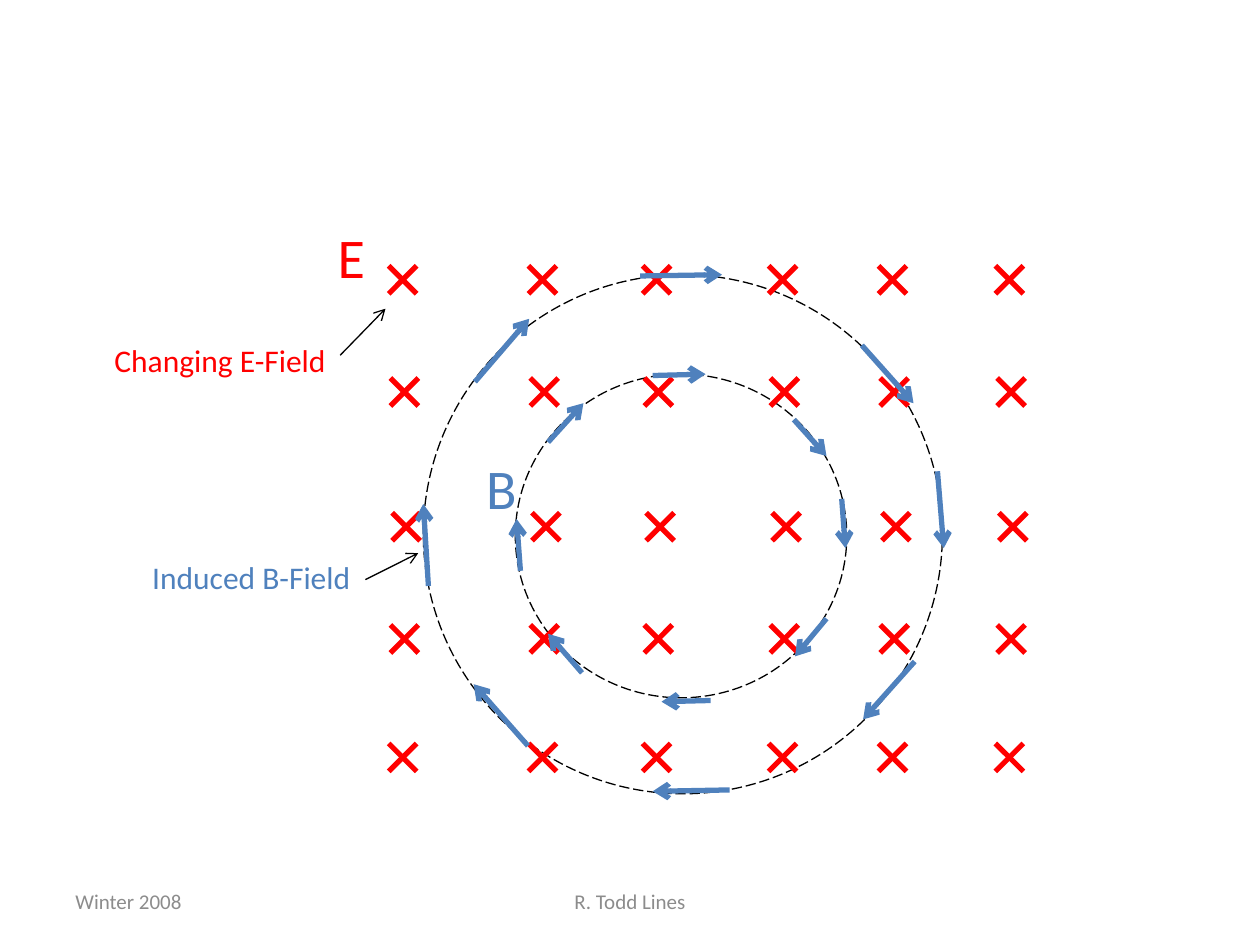
from itertools import product

from pptx import Presentation
from pptx.dml.color import RGBColor
from pptx.enum.dml import MSO_LINE as Dash
from pptx.enum.shapes import MSO_CONNECTOR as Connector, MSO_SHAPE as Shape
from pptx.enum.text import MSO_ANCHOR as Anchor, MSO_AUTO_SIZE as AutoSize, PP_ALIGN as Align
from pptx.oxml.ns import qn
from pptx.util import Pt
from lxml.etree import SubElement

COLORS = {"electric": "FF0000", "magnetic": "4F81BD", "ink": "000000", "footer": "8C8C8C"}

CROSS_SIZE = 16
CROSS_COLUMNS = (222.1, 302, 367.2, 439.2, 502, 568.8)
CROSS_ROWS = ((151.9, 0), (216, 1), (293, 2), (357.1, 1), (424.8, 0))

LOOPS = ((241.9, 157, 296.6, 296.6), (294.5, 213.8, 189.4, 185))

OUTER_ARROWS = (
    (535.7, 269.3, 539.3, 313.2),
    (244.8, 334.8, 241.9, 288),
    (416.9, 451.4, 373, 452.2),
    (365.8, 157.7, 412.6, 157),
    (522.7, 378, 493.2, 411.1),
    (271.4, 218.2, 302.4, 182.2),
    (492.5, 197.3, 522, 230.4),
    (301.7, 426.2, 270.7, 391),
)
INNER_ARROWS = (
    (481, 285.1, 483.1, 313.2),
    (297.4, 326.2, 295.2, 296.6),
    (406.1, 400.3, 378, 401),
    (373, 214.6, 403.2, 213.8),
    (472.3, 353.5, 454.3, 375.1),
    (313.2, 252.7, 333.4, 230.4),
    (453.6, 239.8, 472.3, 260.6),
    (332.6, 384.5, 313.2, 362.2),
)
POINTERS = ((194.4, 203, 220.3, 176.4), (208.8, 331.2, 239, 316.1))


class FieldSlide:
    """Draws field diagram elements on one slide in a shared style."""

    font_name = "Calibri"
    thin, thick = 0.75, 3

    def __init__(self, slide):
        self.shapes = slide.shapes

    def loop(self, bounds):
        ellipse = self.shapes.add_shape(Shape.OVAL, *map(Pt, bounds))
        ellipse.shadow.inherit = False
        ellipse.fill.background()
        ellipse.line.color.rgb = RGBColor.from_string(COLORS["ink"])
        ellipse.line.width = Pt(self.thin)
        ellipse.line.dash_style = Dash.LONG_DASH

    def line(self, ends, color, width, arrow=False, shapes=None):
        shapes = self.shapes if shapes is None else shapes
        connector = shapes.add_connector(Connector.STRAIGHT, *map(Pt, ends))
        connector.line.color.rgb = RGBColor.from_string(COLORS[color])
        connector.line.width = Pt(width)
        properties = connector.element.spPr
        if arrow:
            SubElement(properties.find(qn("a:ln")), qn("a:tailEnd"), type="arrow")
        SubElement(properties, qn("a:effectLst"))

    def cross(self, left, top):
        group = self.shapes.add_group_shape()
        right, bottom = left + CROSS_SIZE, top + CROSS_SIZE
        for ends in ((left, top, right, bottom), (right, top, left, bottom)):
            self.line(ends, "electric", self.thick, shapes=group.shapes)

    def circulation(self, arrows):
        group = self.shapes.add_group_shape()
        for ends in arrows:
            self.line(ends, "magnetic", self.thick, arrow=True, shapes=group.shapes)

    def pointer(self, ends):
        self.line(ends, "ink", self.thin, arrow=True)

    def text(self, words, bounds, size, color, wrap=True, align=Align.LEFT,
             anchor=Anchor.TOP, auto_size=AutoSize.SHAPE_TO_FIT_TEXT):
        frame = self.shapes.add_textbox(*map(Pt, bounds)).text_frame
        frame.word_wrap = wrap
        frame.auto_size = auto_size
        frame.vertical_anchor = anchor
        para = frame.paragraphs[0]
        para.text = words
        para.alignment = align
        para.font.name = self.font_name
        para.font.size = Pt(size)
        para.font.color.rgb = RGBColor.from_string(COLORS[color])

    def footer(self, words, left, width, align):
        self.text(words, (left, 500.5, width, 28.8), 12, "footer", align=align,
                  anchor=Anchor.MIDDLE, auto_size=AutoSize.NONE)


def main():
    deck = Presentation()
    deck.slide_width, deck.slide_height = Pt(720), Pt(540)
    blank_layout = deck.slide_layouts[6]
    page = FieldSlide(deck.slides.add_slide(blank_layout))

    for bounds in LOOPS:
        page.loop(bounds)
    page.footer("Winter 2008", 36, 168, Align.LEFT)
    page.footer("R. Todd Lines", 246, 228, Align.CENTER)

    for left, (top, shift) in product(CROSS_COLUMNS, CROSS_ROWS):
        page.cross(left + shift, top)

    page.circulation(OUTER_ARROWS)
    page.text("B", (270.7, 255.6, 32.4, 46), 32, "magnetic", wrap=False)
    page.text("E", (185.8, 123.8, 30.2, 46), 32, "electric", wrap=False)
    page.circulation(INNER_ARROWS)

    page.text("Changing E-Field", (58.3, 191.5, 137.5, 29), 18, "electric")
    page.text("Induced B-Field", (79.9, 315.4, 137.5, 29), 18, "magnetic")
    for ends in POINTERS:
        page.pointer(ends)

    deck.save("out.pptx")


if __name__ == "__main__":
    main()
